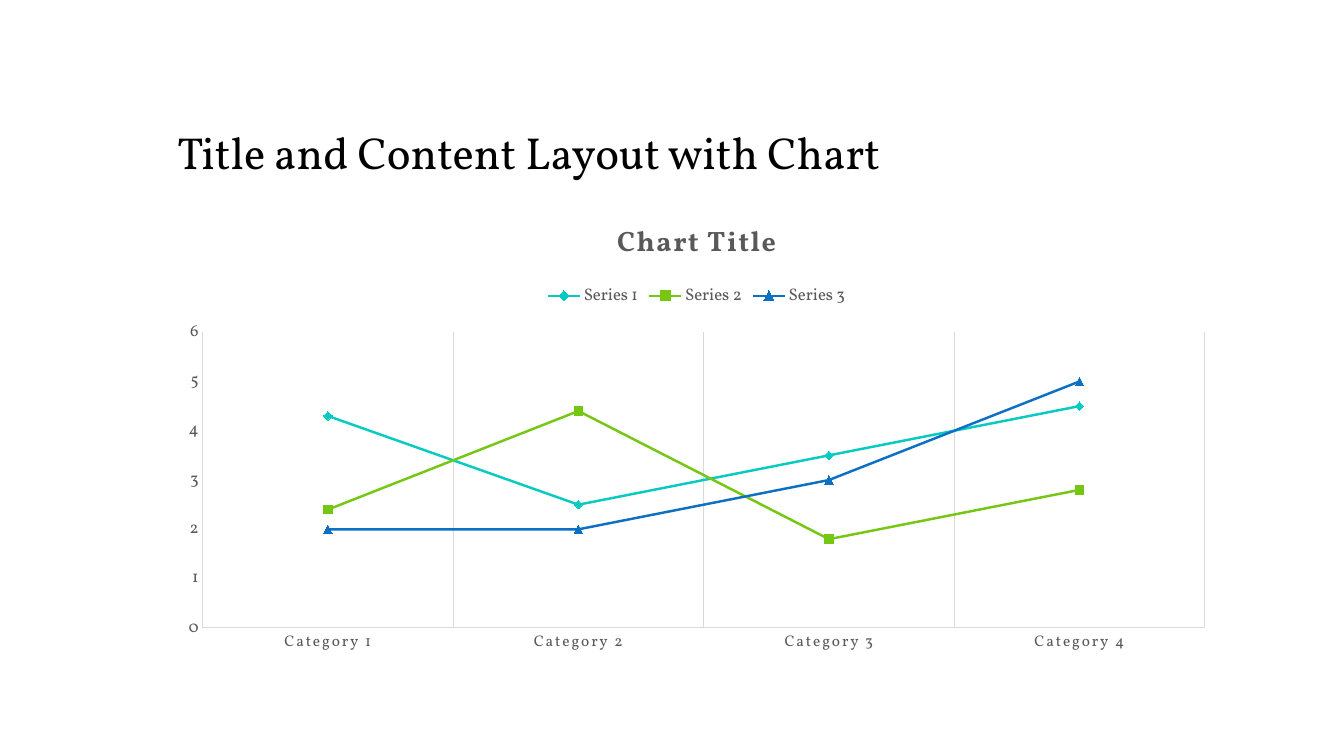
"""Build a slide with a title and a three-series line chart."""
import dataclasses

import pptx
import pptx.chart.data
import pptx.dml.color
import pptx.enum.chart
import pptx.enum.text
import pptx.util

Inches = pptx.util.Inches
Pt = pptx.util.Pt
Rgb = pptx.dml.color.RGBColor.from_string
Enum = pptx.enum.chart


@dataclasses.dataclass(frozen=True)
class Theme:
    """Colours, font and type sizes."""
    face: str = "Vollkorn"
    ink: str = "000000"
    grey: str = "595959"
    rule: str = "D9D9D9"
    hues: tuple = ("08CAC1", "76C714", "0E70C2")
    title: int = 32
    head: int = 20
    label: int = 12
    group: int = 11
    base: int = 10


class Deck:
    """Holds the theme and the current slide."""

    def __init__(self, theme):
        """Start a deck with one slide."""
        self.theme = theme
        self.show = pptx.Presentation()
        self.show.slide_width = Inches(13.33)
        self.show.slide_height = Inches(7.5)
        self.slide = self.show.slides.add_slide(self.show.slide_layouts[5])

    def style(self, font, size, color, bold=False):
        """Set face, size, colour and weight."""
        font.name = self.theme.face
        font.size = Pt(size)
        font.bold = bold
        font.color.rgb = Rgb(color)

    def rule(self, line):
        """Draw a thin pale line."""
        line.color.rgb = Rgb(self.theme.rule)
        line.width = Pt(0.75)

    def title(self, text, left, top, width, height):
        """Place and format the title."""
        shape = self.slide.shapes.title
        shape.left, shape.top = Inches(left), Inches(top)
        shape.width, shape.height = Inches(width), Inches(height)
        frame = shape.text_frame
        frame.text = text
        frame.word_wrap = True
        frame.auto_size = pptx.enum.text.MSO_AUTO_SIZE.NONE
        frame.vertical_anchor = pptx.enum.text.MSO_ANCHOR.BOTTOM
        para = frame.paragraphs[0]
        para.alignment = pptx.enum.text.PP_ALIGN.LEFT
        para.line_spacing = 0.9
        self.style(para.runs[0].font, self.theme.title, self.theme.ink)

    def chart(self, head, groups, rows, left, top, width, height):
        """Add a line chart with markers."""
        theme = self.theme
        data = pptx.chart.data.CategoryChartData()
        data.categories = groups
        for name, values in rows.items():
            data.add_series(name, values)
        chart = self.slide.shapes.add_chart(
            Enum.XL_CHART_TYPE.LINE_MARKERS, Inches(left), Inches(top),
            Inches(width), Inches(height), data).chart
        self.style(chart.font, theme.base, theme.ink)
        self.head(chart, head)
        chart.has_legend = True
        chart.legend.position = Enum.XL_LEGEND_POSITION.TOP
        chart.legend.include_in_layout = False
        self.style(chart.legend.font, theme.label, theme.grey)
        self.axis(chart.category_axis, theme.group, True)
        self.axis(chart.value_axis, theme.label, False)
        chart.value_axis.minimum_scale = 0
        chart.value_axis.maximum_scale = 6
        chart.value_axis.major_unit = 1
        props = chart.category_axis.tick_labels.font
        props._element.set("spc", "120")
        plot = chart.plots[0]
        plot.vary_by_categories = False
        marks = Enum.XL_MARKER_STYLE
        kinds = (marks.DIAMOND, marks.SQUARE, marks.TRIANGLE)
        for series, hue, kind in zip(plot.series, theme.hues, kinds):
            self.series(series, hue, kind)

    def head(self, chart, text):
        """Set the chart heading."""
        chart.has_title = True
        frame = chart.chart_title.text_frame
        frame.text = text
        chart.chart_title.include_in_layout = False
        font = frame.paragraphs[0].runs[0].font
        self.style(font, self.theme.head, self.theme.grey, True)
        font._element.set("spc", "100")

    def axis(self, axis, size, grid):
        """Format an axis and its grid."""
        axis.major_tick_mark = Enum.XL_TICK_MARK.NONE
        axis.minor_tick_mark = Enum.XL_TICK_MARK.NONE
        axis.has_major_gridlines = grid
        if grid:
            self.rule(axis.major_gridlines.format.line)
        self.rule(axis.format.line)
        self.style(axis.tick_labels.font, size, self.theme.grey)

    def series(self, series, hue, kind):
        """Colour a series and its markers."""
        series.smooth = False
        series.format.line.color.rgb = Rgb(hue)
        series.format.line.width = Pt(1.75)
        mark = series.marker
        mark.style = kind
        mark.size = 6
        mark.format.fill.solid()
        mark.format.fill.fore_color.rgb = Rgb(hue)
        mark.format.line.color.rgb = Rgb(hue)


def main():
    """Build and save the deck."""
    deck = Deck(Theme())
    deck.title("Title and Content Layout with Chart", 1.66, 0.58, 10.5, 1.25)
    groups = [f"Category {num}" for num in range(1, 5)]
    rows = {
        "Series 1": (4.3, 2.5, 3.5, 4.5),
        "Series 2": (2.4, 4.4, 1.8, 2.8),
        "Series 3": (2, 2, 3, 5),
    }
    deck.chart("Chart Title", groups, rows, 1.66, 2, 10.5, 4.58)
    deck.show.save("out.pptx")


if __name__ == "__main__":
    main()
